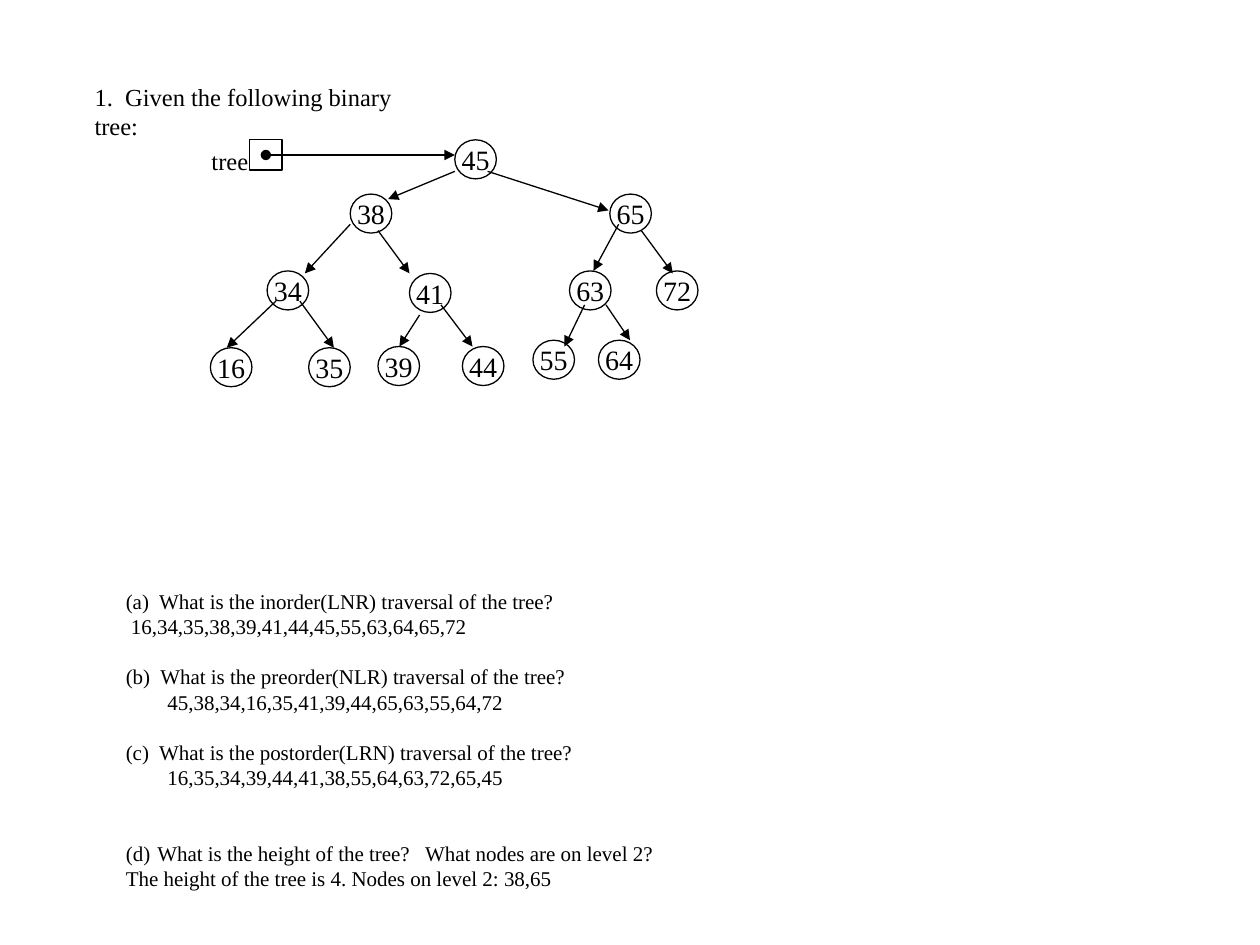
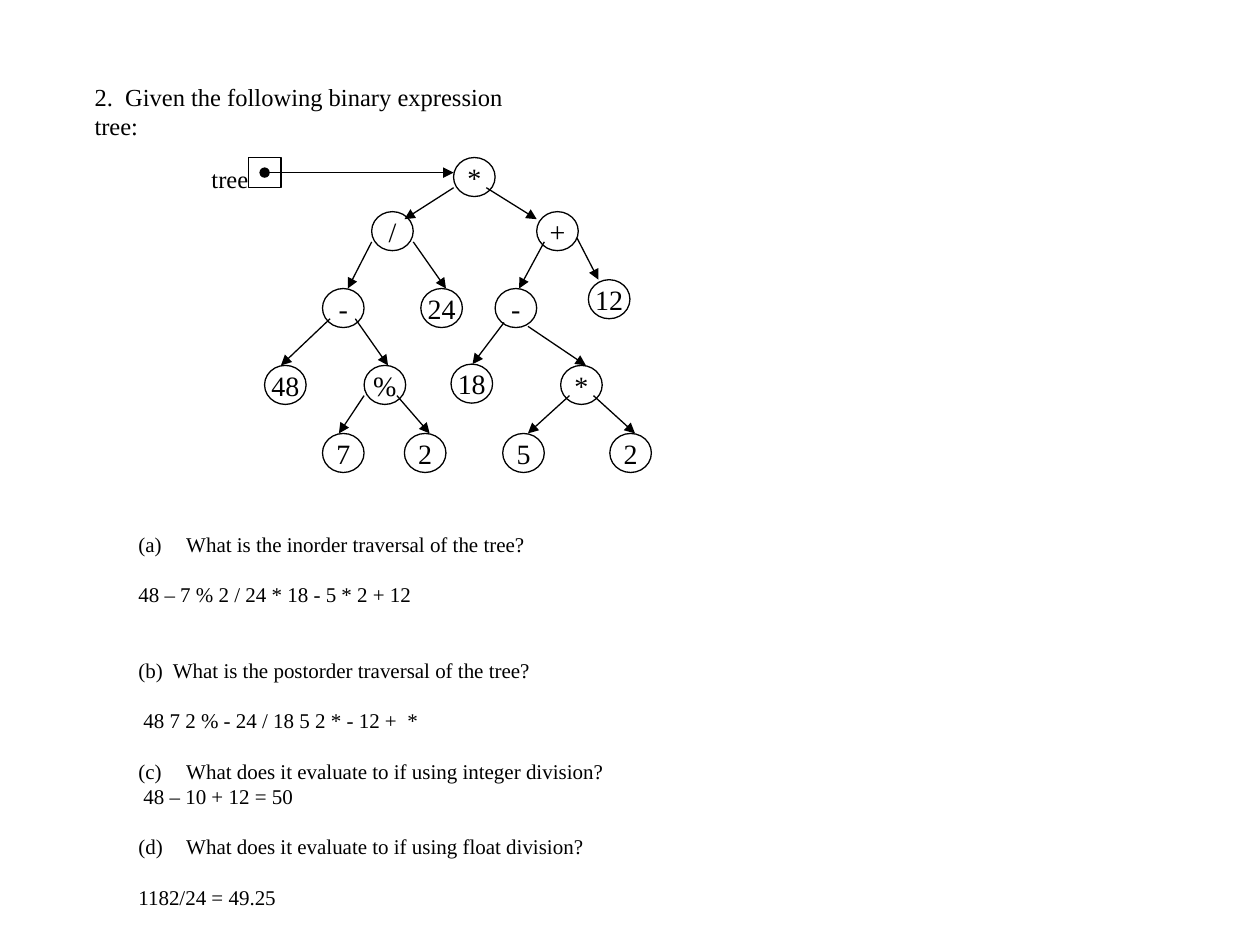
from typing import NamedTuple

from lxml.etree import SubElement
from pptx import Presentation
from pptx.dml.color import RGBColor
from pptx.enum.shapes import MSO_CONNECTOR as Conn, MSO_SHAPE as Kind
from pptx.enum.text import MSO_ANCHOR as Anchor, MSO_AUTO_SIZE as Fit, PP_ALIGN as Align
from pptx.oxml.ns import qn
from pptx.util import Inches, Pt

HUES = {"ink": "000000"}
FONT = "Times New Roman"
NODE_W, NODE_H = 0.33, 0.31
BOX_W, BOX_H = 0.26, 0.24
BLANK = 14.4  # points of one skipped line


class Node(NamedTuple):
    """A tree node, with the arrow that leads to it from its parent."""
    text: str
    x: float
    y: float
    start: tuple = ()
    tip: tuple = ()


class Line(NamedTuple):
    """A line of text: skipped lines above, indent, and list number if any."""
    text: str
    skip: int = 0
    indent: float = 0
    number: int = 0


class Page(NamedTuple):
    title: str
    title_w: float
    nodes: list
    text_at: tuple
    lines: list


PAGES = [
    Page(
        "1.  Given the following binary tree:", 2.9,
        [
            Node("45", 3.61, 1.11),
            Node("38", 2.78, 1.54, (3.61, 1.36), (3.08, 1.58)),
            Node("65", 4.84, 1.54, (3.87, 1.36), (4.83, 1.67)),
            Node("34", 2.12, 2.15, (2.78, 1.78), (2.42, 2.17)),
            Node("41", 3.25, 2.17, (3, 1.83), (3.25, 2.17)),
            Node("63", 4.52, 2.15, (4.91, 1.78), (4.71, 2.15)),
            Node("72", 5.21, 2.15, (5.09, 1.83), (5.34, 2.17)),
            Node("16", 1.67, 2.76, (2.19, 2.39), (1.8, 2.76)),
            Node("35", 2.45, 2.76, (2.38, 2.39), (2.65, 2.76)),
            Node("39", 3, 2.75, (3.33, 2.5), (3.17, 2.75)),
            Node("44", 3.67, 2.75, (3.5, 2.42), (3.75, 2.75)),
            Node("55", 4.23, 2.7, (4.64, 2.42), (4.48, 2.75)),
            Node("64", 4.75, 2.7, (4.81, 2.42), (5, 2.7)),
        ],
        (0.9, 4.62, 5.29, 2.52),
        [
            Line("(a)  What is the inorder(LNR) traversal of the tree?"),
            Line("16,34,35,38,39,41,44,45,55,63,64,65,72", indent=0.04),
            Line("(b)  What is the preorder(NLR) traversal of the tree?", 1),
            Line("45,38,34,16,35,41,39,44,65,63,55,64,72", indent=0.33),
            Line("(c)  What is the postorder(LRN) traversal of the tree?", 1),
            Line("16,35,34,39,44,41,38,55,64,63,72,65,45", indent=0.33),
            Line("What is the height of the tree?   What nodes are on level 2?", 2, 0.25, 4),
            Line("The height of the tree is 4. Nodes on level 2: 38,65"),
        ],
    ),
    Page(
        "2.  Given the following binary expression tree:", 3.8,
        [
            Node("*", 3.6, 1.25),
            Node("/", 2.95, 1.68, (3.6, 1.49), (3.21, 1.74)),
            Node("+", 4.26, 1.68, (3.86, 1.49), (4.26, 1.74)),
            Node("-", 2.56, 2.29, (2.95, 1.92), (2.76, 2.29)),
            Node("24", 3.34, 2.29, (3.28, 1.92), (3.54, 2.29)),
            Node("-", 3.93, 2.29, (4.32, 1.92), (4.12, 2.29)),
            Node("12", 4.67, 2.22, (4.58, 1.89), (4.75, 2.22)),
            Node("48", 2.1, 2.9, (2.62, 2.53), (2.23, 2.9)),
            Node("%", 2.89, 2.9, (2.82, 2.53), (3.08, 2.9)),
            Node("18", 3.58, 2.89, (4, 2.56), (3.75, 2.89)),
            Node("*", 4.45, 2.9, (4.19, 2.59), (4.65, 2.9)),
            Node("7", 2.56, 3.44, (2.89, 3.14), (2.69, 3.44)),
            Node("2", 3.21, 3.44, (3.15, 3.14), (3.41, 3.44)),
            Node("5", 3.99, 3.44, (4.52, 3.14), (4.19, 3.44)),
            Node("2", 4.84, 3.44, (4.71, 3.14), (5.04, 3.44)),
        ],
        (1, 4.17, 4, 3.33),
        [
            Line("What is the inorder traversal of the tree?", 0, 0.38, 1),
            Line("48 – 7 % 2 / 24 * 18 - 5 * 2 + 12", 1),
            Line("(b)  What is the postorder traversal of the tree?", 2),
            Line("48 7 2 % - 24 / 18 5 2 * - 12 +  *", 1, 0.04),
            Line("What does it evaluate to if using integer division?", 1, 0.38, 3),
            Line("48 – 10 + 12 = 50", indent=0.04),
            Line("What does it evaluate to if using float division?", 1, 0.38, 4),
            Line("1182/24 = 49.25", 1),
        ],
    ),
]


def ink() -> RGBColor:
    return RGBColor.from_string(HUES["ink"])


def style(para, size: float, align=Align.LEFT) -> None:
    para.alignment = align
    for run in para.runs:
        run.font.size = Pt(size)
        run.font.name = FONT
        run.font.color.rgb = ink()


def outline(slide, kind, x: float, y: float, w: float, h: float):
    """Add an unfilled shape with a thin line."""
    shape = slide.shapes.add_shape(kind, Inches(x), Inches(y), Inches(w), Inches(h))
    shape.shadow.inherit = False
    shape.fill.background()
    shape.line.color.rgb = ink()
    shape.line.width = Pt(0.75)
    return shape


def arrow(slide, start: tuple, tip: tuple, dot: bool = False) -> None:
    ends = [Inches(v) for v in (*start, *tip)]
    link = slide.shapes.add_connector(Conn.STRAIGHT, *ends)
    link.line.color.rgb = ink()
    link.line.width = Pt(0.75)
    props = link._element.spPr
    edge = props.find(qn("a:ln"))
    if dot:
        SubElement(edge, qn("a:headEnd"), type="oval")
    SubElement(edge, qn("a:tailEnd"), type="triangle")
    SubElement(props, qn("a:effectLst"))


def draw_node(slide, node: Node) -> None:
    shape = outline(slide, Kind.OVAL, node.x, node.y, NODE_W, NODE_H)
    frame = shape.text_frame
    frame.margin_left = frame.margin_right = frame.margin_top = frame.margin_bottom = 0
    frame.vertical_anchor = Anchor.MIDDLE
    frame.word_wrap = False
    frame.text = node.text
    style(frame.paragraphs[0], 16, Align.CENTER)
    if node.start:
        arrow(slide, node.start, node.tip)


def draw_root(slide, root: Node) -> None:
    """Draw the labelled pointer box to the left of the root."""
    x, y = root.x - 1.63, root.y
    outline(slide, Kind.RECTANGLE, x, y, BOX_W, BOX_H)
    label = slide.shapes.add_textbox(Inches(1.58), Inches(y), Inches(0.49), Inches(0.33))
    label.text_frame.word_wrap = False
    label.text_frame.text = "tree"
    style(label.text_frame.paragraphs[0], 14)
    mid = y + BOX_H / 2
    arrow(slide, (x + BOX_W / 2, mid), (root.x, mid), dot=True)


def draw_title(slide, text: str, width: float) -> None:
    title = slide.shapes.title
    title.left, title.top = Inches(0.65), Inches(0.6)
    title.width, title.height = Inches(width), Inches(0.33)
    frame = title.text_frame
    frame.text = text
    frame.word_wrap = True
    frame.auto_size = Fit.NONE
    frame.vertical_anchor = Anchor.TOP
    style(frame.paragraphs[0], 14)


def draw_lines(slide, at: tuple, lines: list) -> None:
    frame = slide.shapes.add_textbox(*map(Inches, at)).text_frame
    frame.word_wrap = True
    frame.text = "\n".join(line.text for line in lines)
    for para, line in zip(frame.paragraphs, lines):
        style(para, 12)
        para.space_before = Pt(BLANK * line.skip)
        props = para._p.get_or_add_pPr()
        props.set("marL", str(Inches(line.indent)))
        if line.number:
            props.set("indent", str(-Inches(line.indent)))
            SubElement(props, qn("a:buAutoNum"), type="alphaLcParenBoth",
                       startAt=str(line.number))


def main() -> None:
    deck = Presentation()
    deck.slide_width, deck.slide_height = Inches(10), Inches(7.5)
    for page in PAGES:
        slide = deck.slides.add_slide(deck.slide_layouts[5])
        draw_title(slide, page.title, page.title_w)
        draw_lines(slide, page.text_at, page.lines)
        for node in page.nodes:
            draw_node(slide, node)
        draw_root(slide, page.nodes[0])
    deck.save("out.pptx")


if __name__ == "__main__":
    main()
